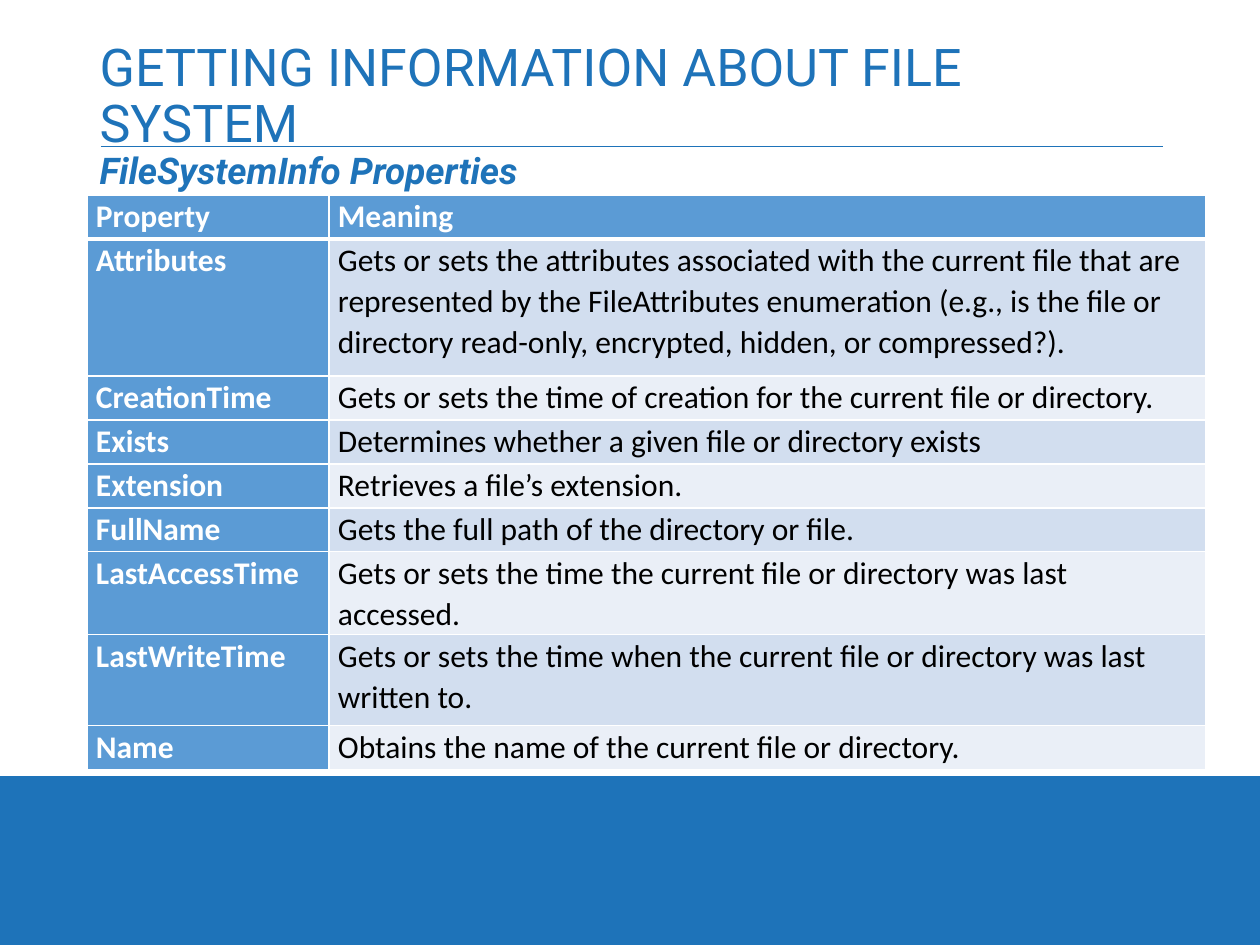
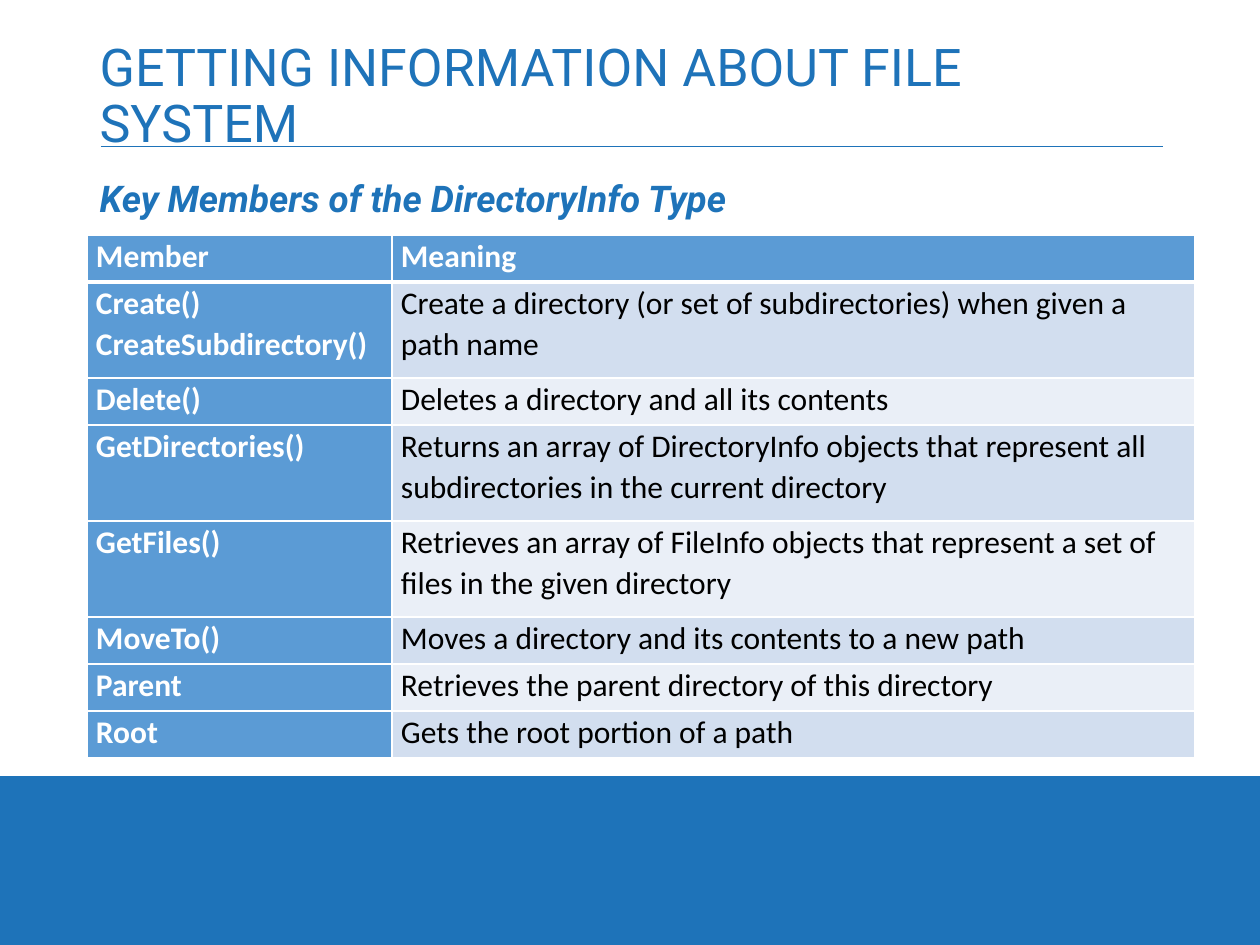
from dataclasses import dataclass

from lxml import etree
from pptx import Presentation
from pptx import util as u
from pptx.dml.color import RGBColor
from pptx.enum import shapes, text
from pptx.oxml import ns

PX_PER_INCH = 126
WIDTH, HEIGHT = 1260, 945


def px(n: int) -> int:
    """Turn picture pixels into EMU."""
    return round(n * 914400 / PX_PER_INCH)


# Colours, fonts and type sizes
@dataclass(frozen=True)
class Theme:
    brand: str = "1E73B9"
    white: str = "FFFFFF"
    black: str = "000000"
    head_fill: str = "5B9BD5"
    bands: tuple[str, str] = ("D2DEEF", "EAEFF7")
    heading_font: str = "Roboto"
    table_font: str = "Calibri"
    title_size: float = 29.7
    subtitle_size: float = 21
    table_size: float = 18
    heading_spacing: float = 0.9
    table_spacing: float = 1.07
    border: float = 1
    head_border: float = 3


@dataclass(frozen=True)
class Box:
    left: int
    top: int
    width: int
    height: int

    def emu(self) -> tuple[int, ...]:
        return tuple(px(n) for n in (self.left, self.top, self.width, self.height))


@dataclass(frozen=True)
class TableSlide:
    subtitle: str
    body: Box
    table_top: int
    cols: tuple[int, int]
    rows: list[tuple[int, str, str]]  # height, name, meaning


T = Theme()
TITLE = "GETTING INFORMATION ABOUT FILE SYSTEM"
TITLE_BOX = Box(87, 50, 1086, 96)
SHEET = Box(0, 0, WIDTH, 776)
RULE_LEFT, RULE_RIGHT, RULE_TOP = 101, 1163, 146
TABLE_LEFT, CELL_INSET = 87, 9

SLIDES = [
    TableSlide(
        "FileSystemInfo Properties", Box(87, 146, 1086, 651), 195, (242, 877),
        [
            (44, "Property", "Meaning"),
            (137, "Attributes",
             "Gets or sets the attributes associated with the current file that are "
             "represented by the FileAttributes enumeration (e.g., is the file or "
             "directory read-only, encrypted, hidden, or compressed?)."),
            (44, "CreationTime",
             "Gets or sets the time of creation for the current file or directory."),
            (44, "Exists", "Determines whether a given file or directory exists"),
            (44, "Extension", "Retrieves a file’s extension."),
            (44, "FullName", "Gets the full path of the directory or file."),
            (83, "LastAccessTime",
             "Gets or sets the time the current file or directory was last accessed."),
            (91, "LastWriteTime",
             "Gets or sets the time when the current file or directory was last "
             "written to."),
            (44, "Name", "Obtains the name of the current file or directory."),
        ],
    ),
    TableSlide(
        "Key Members of the DirectoryInfo Type", Box(87, 174, 1086, 571), 235, (305, 803),
        [
            (47, "Member", "Meaning"),
            (96, "Create()\nCreateSubdirectory()",
             "Create a directory (or set of subdirectories) when given a path name"),
            (47, "Delete()", "Deletes a directory and all its contents"),
            (96, "GetDirectories()",
             "Returns an array of DirectoryInfo objects that represent all "
             "subdirectories in the current directory"),
            (96, "GetFiles()",
             "Retrieves an array of FileInfo objects that represent a set of files "
             "in the given directory"),
            (47, "MoveTo()", "Moves a directory and its contents to a new path"),
            (47, "Parent", "Retrieves the parent directory of this directory"),
            (47, "Root", "Gets the root portion of a path"),
        ],
    ),
]


def rgb(value: str) -> RGBColor:
    return RGBColor.from_string(value)


def format_text(tf, font: str, size: float, color: str, spacing: float,
                bold: bool = False, italic: bool = False) -> None:
    for p in tf.paragraphs:
        p.alignment = text.PP_ALIGN.LEFT
        p.line_spacing = spacing
        for r in p.runs:
            r.font.name, r.font.size = font, u.Pt(size)
            r.font.bold, r.font.italic = bold, italic
            r.font.color.rgb = rgb(color)


def fill_placeholder(sp, box: Box, content: str, anchor, size: float,
                     emphasis: bool = False) -> None:
    sp.left, sp.top, sp.width, sp.height = box.emu()
    tf = sp.text_frame
    tf.text = content
    tf.word_wrap = True
    tf.auto_size = text.MSO_AUTO_SIZE.NONE
    tf.vertical_anchor = anchor
    format_text(tf, T.heading_font, size, T.brand, T.heading_spacing, emphasis, emphasis)


# Shared background, white sheet and title rule, kept in the layout
def dress_layout(layout, slide) -> None:
    fill = layout.background.fill
    fill.solid()
    fill.fore_color.rgb = rgb(T.brand)

    sheet = slide.shapes.add_shape(shapes.MSO_SHAPE.RECTANGLE, *SHEET.emu())
    sheet.shadow.inherit = False
    sheet.fill.solid()
    sheet.fill.fore_color.rgb = rgb(T.white)
    sheet.line.fill.background()

    rule = slide.shapes.add_connector(
        shapes.MSO_CONNECTOR.STRAIGHT,
        px(RULE_LEFT), px(RULE_TOP), px(RULE_RIGHT), px(RULE_TOP))
    rule.line.color.rgb = rgb(T.brand)
    rule.line.width = u.Pt(0.5)
    etree.SubElement(rule._element.spPr, ns.qn("a:effectLst"))

    tree = layout.shapes._spTree
    for i, sp in enumerate((sheet, rule)):
        sp._element.xpath(".//p:cNvPr")[0].set("id", str(100 + i))
        tree.insert(2 + i, sp._element)


def add_borders(cell, top: float, bottom: float) -> None:
    tcPr = cell._tc.get_or_add_tcPr()
    widths = {"lnL": T.border, "lnR": T.border, "lnT": top, "lnB": bottom}
    for tag, width in widths.items():
        ln = etree.SubElement(tcPr, ns.qn(f"a:{tag}"), w=str(u.Pt(width)))
        solid = etree.SubElement(ln, ns.qn("a:solidFill"))
        etree.SubElement(solid, ns.qn("a:srgbClr"), val=T.white)


def add_table(slide, data: TableSlide) -> None:
    box = Box(TABLE_LEFT, data.table_top, sum(data.cols), sum(row[0] for row in data.rows))
    table = slide.shapes.add_table(len(data.rows), len(data.cols), *box.emu()).table
    table.first_row = table.horz_banding = False
    for column, width in zip(table.columns, data.cols):
        column.width = px(width)
    for i, (height, *cells) in enumerate(data.rows):
        table.rows[i].height = px(height)
        for j, content in enumerate(cells):
            cell = table.cell(i, j)
            heading = i == 0 or j == 0
            cell.margin_left = cell.margin_right = px(CELL_INSET)
            cell.margin_top = cell.margin_bottom = 0
            add_borders(cell, T.head_border if i == 1 else T.border,
                        T.head_border if i == 0 else T.border)
            cell.fill.solid()
            cell.fill.fore_color.rgb = rgb(T.head_fill if heading else T.bands[(i - 1) % 2])
            cell.text_frame.text = content
            format_text(cell.text_frame, T.table_font, T.table_size,
                        T.white if heading else T.black, T.table_spacing, bold=heading)


def add_table_slide(prs, layout, data: TableSlide):
    slide = prs.slides.add_slide(layout)
    title, body = slide.placeholders
    fill_placeholder(title, TITLE_BOX, TITLE, text.MSO_ANCHOR.MIDDLE, T.title_size)
    fill_placeholder(body, data.body, data.subtitle, text.MSO_ANCHOR.TOP,
                     T.subtitle_size, emphasis=True)
    # Subtitle without bullet or indent
    p = body.text_frame.paragraphs[0]
    p.space_before = u.Pt(7.5)
    pPr = p._p.get_or_add_pPr()
    pPr.set("marL", "0")
    pPr.set("indent", "0")
    etree.SubElement(pPr, ns.qn("a:buNone"))
    add_table(slide, data)
    return slide


prs = Presentation()
prs.slide_width, prs.slide_height = px(WIDTH), px(HEIGHT)
layout = prs.slide_layouts[1]
slides = [add_table_slide(prs, layout, data) for data in SLIDES]
dress_layout(layout, slides[0])
prs.save("out.pptx")
